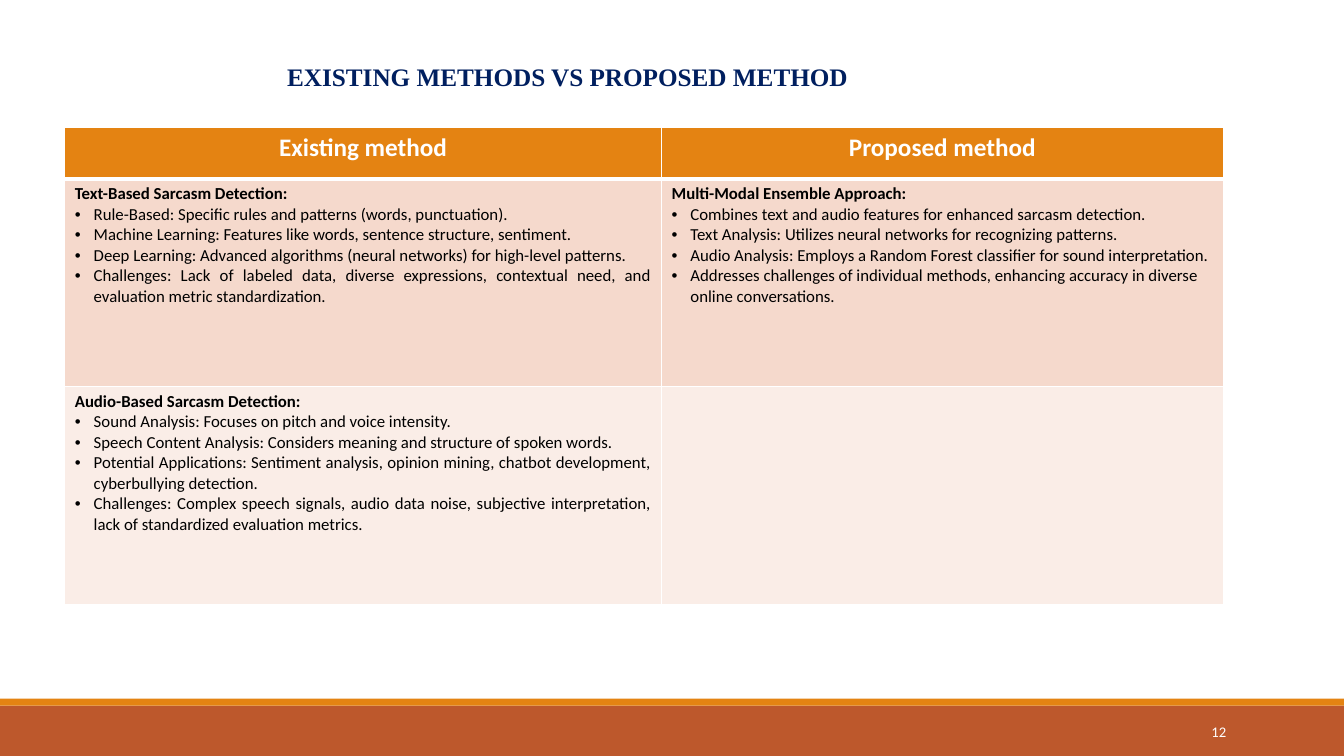
from dataclasses import dataclass

from lxml import etree
from pptx import Presentation
from pptx.dml.color import RGBColor
from pptx.enum.shapes import MSO_SHAPE
from pptx.enum.text import MSO_ANCHOR, PP_ALIGN
from pptx.oxml.ns import qn
from pptx.util import Pt

RECTANGLE = MSO_SHAPE.RECTANGLE
LEFT, CENTER, RIGHT, JUSTIFY = PP_ALIGN.LEFT, PP_ALIGN.CENTER, PP_ALIGN.RIGHT, PP_ALIGN.JUSTIFY
MIDDLE = MSO_ANCHOR.MIDDLE


@dataclass(frozen=True)
class Theme:
    orange: str = "E48312"
    rust: str = "BD582C"
    navy: str = "001F5F"
    white: str = "FFFFFF"
    black: str = "000000"
    row_fills: tuple = ("E48312", "F5D9CC", "FAEDE7")
    heading_font: str = "Times New Roman"
    body_font: str = "Calibri"
    heading_size: float = 18
    body_size: float = 12
    number_size: float = 10.5


theme = Theme()


def write(paragraph, text, size=theme.body_size, color=theme.black, font=theme.body_font,
          bold=False, align=LEFT, bullet=False):
    paragraph.alignment = align
    run = paragraph.add_run()
    run.text = text
    run.font.size = Pt(size)
    run.font.name = font
    run.font.bold = bold
    run.font.color.rgb = RGBColor.from_string(color)
    if bullet:
        properties = paragraph._p.get_or_add_pPr()
        properties.set("marL", str(Pt(13.5)))
        properties.set("indent", str(-Pt(13.5)))
        etree.SubElement(properties, qn("a:buFont")).set("typeface", "Arial")
        etree.SubElement(properties, qn("a:buChar")).set("char", "•")


def style_cell(cell, fill, borders):
    cell.fill.solid()
    cell.fill.fore_color.rgb = RGBColor.from_string(fill)
    properties = cell._tc.get_or_add_tcPr()
    for position, (side, width) in enumerate(borders.items()):
        line = etree.Element(qn(f"a:ln{side}"), w=str(Pt(width)))
        solid = etree.SubElement(line, qn("a:solidFill"))
        etree.SubElement(solid, qn("a:srgbClr")).set("val", theme.white)
        properties.insert(position, line)


presentation = Presentation()
presentation.slide_width = Pt(960)
presentation.slide_height = Pt(540)
slide = presentation.slides.add_slide(presentation.slide_layouts[6])

for top, height, color in ((504, 36, theme.rust), (499, 5, theme.orange)):
    band = slide.shapes.add_shape(RECTANGLE, Pt(0), Pt(top), Pt(960), Pt(height))
    band.shadow.inherit = False
    band.fill.solid()
    band.fill.fore_color.rgb = RGBColor.from_string(color)
    band.line.fill.background()

number_box = slide.shapes.add_textbox(Pt(780), Pt(508.5), Pt(103), Pt(28.75))
number_box.text_frame.word_wrap = True
number_box.text_frame.vertical_anchor = MIDDLE
write(number_box.text_frame.paragraphs[0], "12", size=theme.number_size,
      color=theme.white, align=RIGHT)

headers = ("Existing method", "Proposed method")
methods = (
    (1, 0, JUSTIFY, "Text-Based Sarcasm Detection:", (
        "Rule-Based: Specific rules and patterns (words, punctuation).",
        "Machine Learning: Features like words, sentence structure, sentiment.",
        "Deep Learning: Advanced algorithms (neural networks) for high-level patterns.",
        "Challenges: Lack of labeled data, diverse expressions, contextual need, "
        "and evaluation metric standardization.",
    )),
    (1, 1, LEFT, "Multi-Modal Ensemble Approach:", (
        "Combines text and audio features for enhanced sarcasm detection.",
        "Text Analysis: Utilizes neural networks for recognizing patterns.",
        "Audio Analysis: Employs a Random Forest classifier for sound interpretation.",
        "Addresses challenges of individual methods, enhancing accuracy in diverse "
        "online conversations.",
    )),
    (2, 0, JUSTIFY, "Audio-Based Sarcasm Detection:", (
        "Sound Analysis: Focuses on pitch and voice intensity.",
        "Speech Content Analysis: Considers meaning and structure of spoken words.",
        "Potential Applications: Sentiment analysis, opinion mining, chatbot development, "
        "cyberbullying detection.",
        "Challenges: Complex speech signals, audio data noise, subjective interpretation, "
        "lack of standardized evaluation metrics.",
    )),
)
column_widths = (426.25, 401.25)
row_heights = (36.75, 148.25, 156)

table = slide.shapes.add_table(len(row_heights), len(column_widths), Pt(46.25), Pt(91),
                               Pt(sum(column_widths)), Pt(sum(row_heights))).table
for column, width in zip(table.columns, column_widths):
    column.width = Pt(width)
for index, (row, height) in enumerate(zip(table.rows, row_heights)):
    row.height = Pt(height)
    borders = {"L": 1, "R": 1, "T": 3 if index == 1 else 1, "B": 3 if index == 0 else 1}
    for cell in row.cells:
        style_cell(cell, theme.row_fills[index], borders)

for column, header in enumerate(headers):
    write(table.cell(0, column).text_frame.paragraphs[0], header, size=theme.heading_size,
          color=theme.white, bold=True, align=CENTER)

for row, column, align, heading, points in methods:
    text_frame = table.cell(row, column).text_frame
    write(text_frame.paragraphs[0], heading, bold=True, align=align)
    for point in points:
        write(text_frame.add_paragraph(), point, align=align, bullet=True)

title_box = slide.shapes.add_textbox(Pt(198), Pt(40.25), Pt(480), Pt(29))
title_box.text_frame.word_wrap = True
title = title_box.text_frame.paragraphs[0]
title.space_before = Pt(1.1)
write(title, "EXISTING METHODS VS PROPOSED METHOD", size=theme.heading_size,
      color=theme.navy, font=theme.heading_font, bold=True)

presentation.save("out.pptx")
